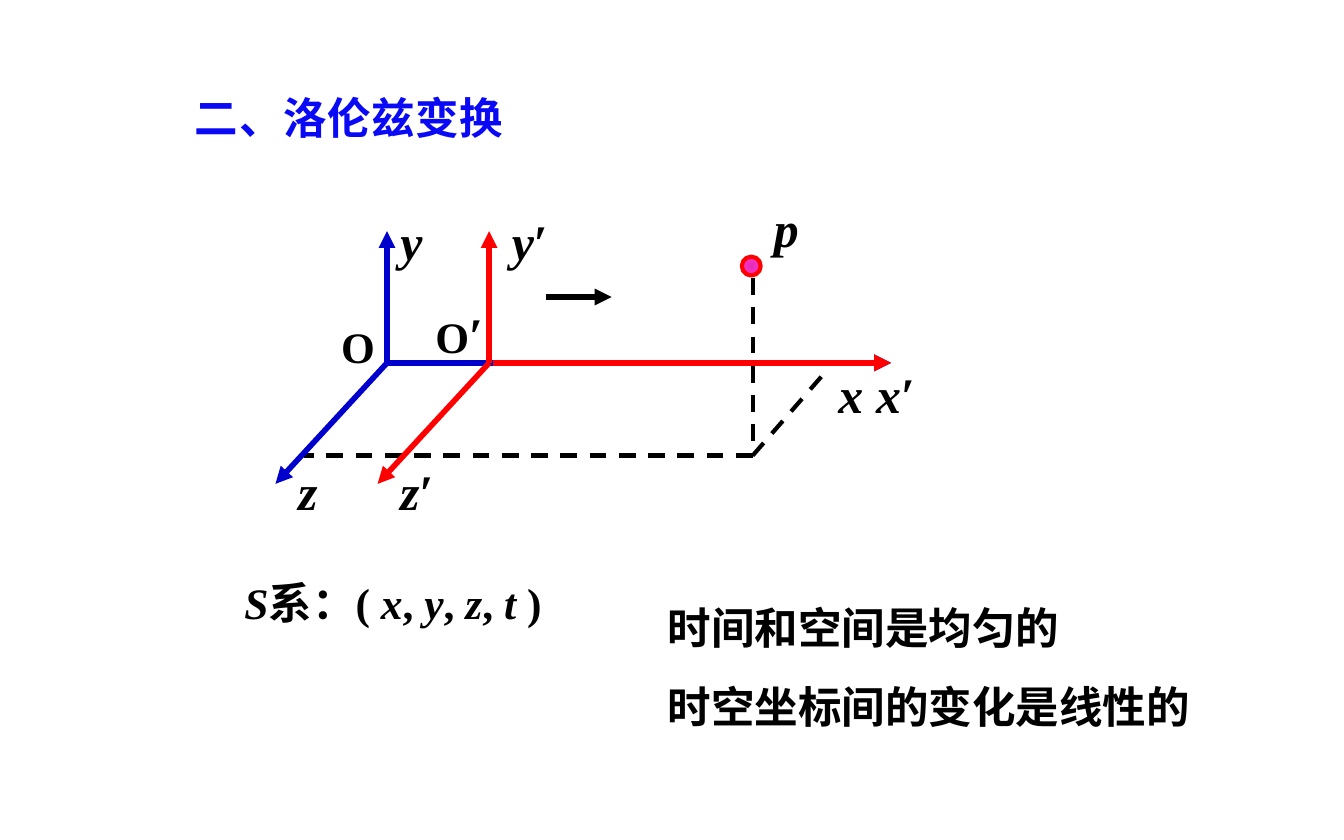
from typing import NamedTuple

from lxml.etree import SubElement
from pptx import Presentation
from pptx.dml.color import RGBColor
from pptx.enum.dml import MSO_LINE
from pptx.enum.shapes import MSO_CONNECTOR, MSO_SHAPE
from pptx.enum.text import MSO_ANCHOR, MSO_AUTO_SIZE, PP_ALIGN
from pptx.oxml.ns import qn
from pptx.util import Inches, Pt

ROMAN, HAN = "Times New Roman", "Noto Sans CJK SC"
BLACK, BLUE, RED, TITLE = "000000", "0000CC", "FF0000", "0909F6"
BIG, MID = 26.7, 23.3


class Line(NamedTuple):
    start: tuple
    end: tuple
    color: str = BLACK
    width: float = 3
    dash: bool = False


class Run(NamedTuple):
    text: str
    italic: bool = True
    size: float = BIG


class Label(NamedTuple):
    left: float
    top: float
    width: float
    height: float
    runs: list


def paint(color, code: str) -> None:
    color.rgb = RGBColor.from_string(code)


def style(run, size: float, code: str = BLACK, italic: bool = False, face: str = ROMAN) -> None:
    form = {"name": face, "size": Pt(size), "bold": True, "italic": italic}
    for key, value in form.items():
        setattr(run.font, key, value)
    paint(run.font.color, code)
    SubElement(run.font._element, qn("a:ea"), typeface=HAN)


def place(shape, left: float, top: float, width: float, height: float) -> None:
    box = {"left": left, "top": top, "width": width, "height": height}
    for key, value in box.items():
        setattr(shape, key, Inches(value))


def setup(frame, wrap: bool = True) -> None:
    form = {"word_wrap": wrap, "auto_size": MSO_AUTO_SIZE.NONE,
            "vertical_anchor": MSO_ANCHOR.TOP}
    for key, value in form.items():
        setattr(frame, key, value)


def draw(shapes, line: Line) -> None:
    ends = [Inches(v) for v in (*line.start, *line.end)]
    item = shapes.add_connector(MSO_CONNECTOR.STRAIGHT, *ends)
    paint(item.line.color, line.color)
    item.line.width = Pt(line.width)
    if line.dash:
        item.line.dash_style = MSO_LINE.DASH
    else:
        SubElement(item.line._get_or_add_ln(), qn("a:tailEnd"), type="triangle")
    SubElement(item._element.spPr, qn("a:effectLst"))


def write(shapes, label: Label) -> None:
    box = shapes.add_textbox(*[Inches(v) for v in label[:4]])
    setup(box.text_frame)
    para = box.text_frame.paragraphs[0]
    for part in label.runs:
        run = para.add_run()
        run.text = part.text
        style(run, part.size, italic=part.italic)


def point(shapes) -> None:
    dot = shapes.add_shape(MSO_SHAPE.OVAL, *[Inches(v) for v in (5.52, 1.91, 0.14, 0.14)])
    dot.shadow.inherit = False
    dot.fill.gradient()
    for stop, code in zip(dot.fill.gradient_stops, ("E22DB5", "FF33CC")):
        paint(stop.color, code)
    # Turn the linear gradient into one from the centre
    grad = dot._element.spPr.find(qn("a:gradFill"))
    grad.remove(grad.find(qn("a:lin")))
    mode = SubElement(grad, qn("a:path"), path="shape")
    SubElement(mode, qn("a:fillToRect"), {side: "50000" for side in "ltrb"})
    paint(dot.line.color, RED)
    dot.line.width = Pt(2.25)


def axes(x: float, base: float, code: str) -> list:
    start = (x, 2.7)
    return [Line((base, 2.7), (6.63, 2.7), code),
            Line(start, (x, 1.72), code),
            Line(start, (x - 0.83, 3.6), code)]


def main() -> None:
    deck = Presentation()
    deck.slide_width, deck.slide_height = Inches(10), Inches(6.25)
    slide = deck.slides.add_slide(deck.slide_layouts[1])
    shapes = slide.shapes

    # Title
    title = shapes.title
    place(title, 1.35, 0.63, 2.54, 0.49)
    setup(title.text_frame, wrap=False)
    para = title.text_frame.paragraphs[0]
    para.alignment = PP_ALIGN.LEFT
    run = para.add_run()
    run.text = "二、洛伦兹变换"
    style(run, MID, TITLE, face=HAN)
    run.font._element.set("spc", "40")

    # Conclusions
    body = slide.placeholders[1]
    place(body, 4.87, 4.23, 4.18, 1.2)
    setup(body.text_frame)
    body.text_frame.text = "时间和空间是均匀的\n时空坐标间的变化是线性的"
    for para in body.text_frame.paragraphs:
        props = para._p.get_or_add_pPr()
        props.set("marL", "0")
        props.set("indent", "0")
        SubElement(props, qn("a:buNone"))
        para.line_spacing, para.space_before = 1.5, Pt(0)
        style(para.runs[0], MID)

    # Event point, its projections and both frames
    point(shapes)
    foot = (5.6, 3.39)
    guides = [Line(a, b, width=2.25, dash=True) for a, b in (
        ((5.6, 2.07), foot), (foot, (2.26, 3.39)), (foot, (6.14, 2.77)))]
    motion = Line((4.06, 2.21), (4.55, 2.21))
    for line in guides + axes(2.88, 2.88, BLUE) + [motion] + axes(3.64, 3.67, RED):
        draw(shapes, line)

    # Axis labels
    prime = Run("′", False)
    for label in (
        Label(5.66, 1.42, 0.42, 0.55, [Run("p")]),
        Label(2.88, 1.52, 0.49, 0.55, [Run("y")]),
        Label(2.12, 3.38, 0.49, 0.55, [Run("z")]),
        Label(6.14, 2.66, 0.56, 0.55, [Run("x")]),
        Label(2.44, 2.33, 0.49, 0.49, [Run("O", False, MID)]),
        Label(3.14, 2.21, 0.82, 0.55, [Run("O", False, MID), prime]),
        Label(6.42, 2.66, 0.97, 0.55, [Run("x"), prime]),
        Label(3.71, 1.52, 0.97, 0.55, [Run("y"), prime]),
        Label(2.88, 3.38, 0.83, 0.55, [Run("z"), prime]),
    ):
        write(shapes, label)

    # Coordinates in frame S
    parts = ["S", "系：( ", "x", ", ", "y", ", ", "z", ", ", "t ", ")"]
    runs = [Run(text, i % 2 == 0, MID) for i, text in enumerate(parts)]
    runs[-1] = Run(")", False, MID)
    write(shapes, Label(1.72, 4.24, 3.12, 0.49, runs))

    deck.save("out.pptx")


if __name__ == "__main__":
    main()
